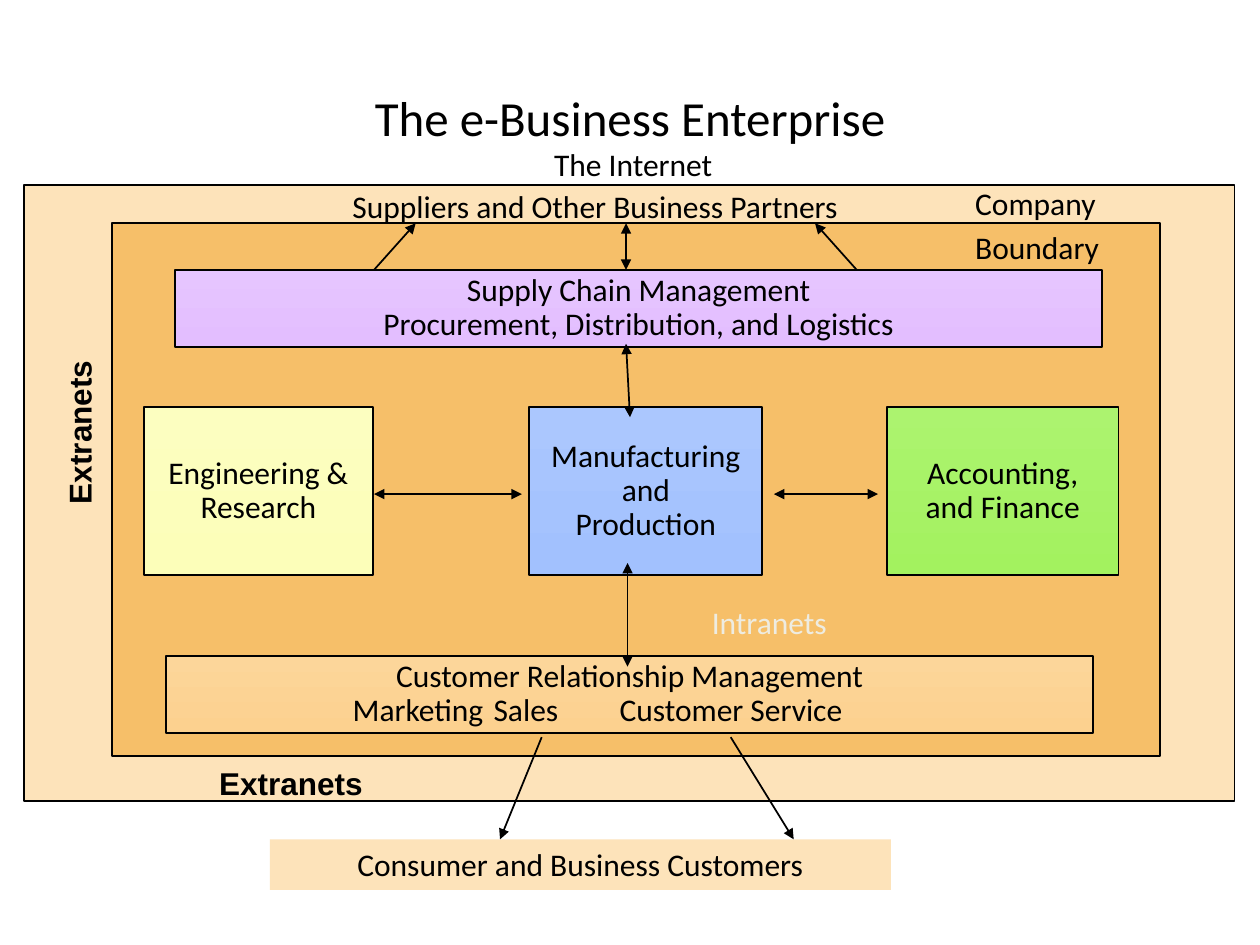
from lxml import etree
from pptx import Presentation
from pptx.dml.color import RGBColor
from pptx.enum.shapes import MSO_CONNECTOR as Connector, MSO_SHAPE as Shape
from pptx.enum.text import MSO_ANCHOR as Anchor, PP_ALIGN as Align
from pptx.oxml.ns import qn
from pptx.util import Cm, Pt

COLORS = {
    "black": "000000", "pale": "EEECE1", "sand": "FDE3BA", "orange": "F6BF69",
    "blue_top": "ABC7FE", "blue_end": "A2C1FE",
    "yellow_top": "FCFEC0", "yellow_end": "FCFEB9",
    "green_top": "ACF36F", "green_end": "A3F25F",
    "violet_top": "E6C5FF", "violet_end": "E3BEFF",
    "peach_top": "FCD69A", "peach_end": "FCD18F",
}


def color(name):
    return RGBColor.from_string(COLORS[name])


def write(box, lines, align=Align.CENTER, anchor=Anchor.TOP, spacing=1.0,
          before=0, size=18, font="Calibri", bold=False, ink="black", wrap=False):
    frame = box.text_frame
    frame.word_wrap = wrap
    frame.vertical_anchor = anchor
    for index, line in enumerate(lines):
        para = frame.add_paragraph() if index else frame.paragraphs[0]
        para.alignment = align
        para.line_spacing = spacing
        para.space_before = Pt(before)
        span = para.add_run()
        span.text = line
        span.font.size = Pt(size)
        span.font.name = font
        span.font.bold = bold
        span.font.color.rgb = color(ink)


deck = Presentation()
deck.slide_width, deck.slide_height = Cm(25.4), Cm(19.05)
page = deck.slides.add_slide(deck.slide_layouts[6])

title = page.shapes.add_textbox(Cm(1.27), Cm(0.76), Cm(22.86), Cm(3.18))
write(title, ["The e-Business Enterprise"], anchor=Anchor.MIDDLE, size=28, wrap=True)

plain_areas = [
    (0.48, 3.73, 24.41, 12.42, "sand", True),
    (2.26, 4.5, 21.13, 10.74, "orange", True),
    (5.44, 16.92, 12.52, 1.02, "sand", False),
]
for left, top, width, height, fill, outlined in plain_areas:
    area = page.shapes.add_shape(Shape.RECTANGLE, Cm(left), Cm(top), Cm(width), Cm(height))
    area.shadow.inherit = False
    area.fill.solid()
    area.fill.fore_color.rgb = color(fill)
    if outlined:
        area.line.color.rgb = color("black")
        area.line.width = Pt(1)
    else:
        area.line.fill.background()
        write(area, ["Consumer and Business Customers"], wrap=True)

departments = [
    (10.67, 8.2, 4.7, 3.4, "blue", ["Manufacturing", "and", "Production"]),
    (2.9, 8.2, 4.62, 3.4, "yellow", ["Engineering &", "Research"]),
    (17.88, 8.2, 4.67, 3.4, "green", ["Accounting,", "and Finance"]),
    (3.53, 5.44, 18.69, 1.55, "violet",
     ["Supply Chain Management", "Procurement, Distribution, and Logistics"]),
    (3.35, 13.23, 18.69, 1.55, "peach",
     ["Customer Relationship Management", "Marketing\tSales\tCustomer Service"]),
]
for left, top, width, height, hue, lines in departments:
    department = page.shapes.add_shape(
        Shape.RECTANGLE, Cm(left), Cm(top), Cm(width), Cm(height))
    department.shadow.inherit = False
    department.fill.gradient()
    department.fill.gradient_angle = 270
    for stop, end in zip(department.fill.gradient_stops, ("top", "end")):
        stop.color.rgb = color(f"{hue}_{end}")
    department.line.color.rgb = color("black")
    department.line.width = Pt(1)
    write(department, lines, anchor=Anchor.MIDDLE, spacing=0.9, wrap=True)

functions = department.text_frame.paragraphs[1]
functions.alignment = Align.LEFT
settings = functions.runs[0].font._element.getparent().getparent().get_or_add_pPr()
settings.set("marL", "0")
settings.set("indent", str(Cm(3.51)))
tabs = etree.SubElement(settings, qn("a:tabLst"))
for position in (7.6, 10.2):
    etree.SubElement(tabs, qn("a:tab"), pos=str(Cm(position)), algn="l")

captions = [
    (5.84, 3.73, 12.32, 0.94, 0, ["Suppliers and Other Business Partners"],
     {"spacing": 0.9}),
    (19.41, 3.71, 6.78, 1.8, 0, ["Company", "Boundary"],
     {"align": Align.LEFT, "spacing": 0.85, "before": 6.3, "wrap": True}),
    (14.1, 12.04, 3.18, 1.02, 0, ["Intranets"], {"align": Align.LEFT, "ink": "pale"}),
    (10.92, 2.79, 4.14, 1.02, 0, ["The Internet"], {"align": Align.LEFT}),
    (4.17, 15.27, 3.4, 1.02, 0, ["Extranets"],
     {"align": Align.LEFT, "font": "Arial", "bold": True}),
    (-0.1, 8.2, 3.4, 1.02, 270, ["Extranets"],
     {"align": Align.LEFT, "font": "Arial", "bold": True}),
]
for left, top, width, height, turn, lines, style in captions:
    caption = page.shapes.add_textbox(Cm(left), Cm(top), Cm(width), Cm(height))
    caption.rotation = turn
    write(caption, lines, **style)

arrows = [
    (10.92, 14.86, 10.08, 16.92, False),
    (14.73, 14.86, 16, 16.92, False),
    (17.27, 5.44, 16.43, 4.5, False),
    (7.54, 5.44, 8.38, 4.5, False),
    (12.62, 5.44, 12.62, 4.5, True),
    (12.7, 8.41, 12.62, 6.93, True),
    (12.65, 13.44, 12.65, 11.35, True),
    (10.52, 9.96, 7.54, 9.96, True),
    (15.6, 9.96, 17.7, 9.96, True),
]
for x1, y1, x2, y2, both_ends in arrows:
    arrow = page.shapes.add_connector(
        Connector.STRAIGHT, Cm(x1), Cm(y1), Cm(x2), Cm(y2))
    arrow.line.color.rgb = color("black")
    arrow.line.width = Pt(1)
    stroke = arrow.line._get_or_add_ln()
    for tag in ("a:headEnd", "a:tailEnd") if both_ends else ("a:tailEnd",):
        etree.SubElement(stroke, qn(tag), type="triangle")
    etree.SubElement(arrow._element.spPr, qn("a:effectLst"))

deck.save("out.pptx")
